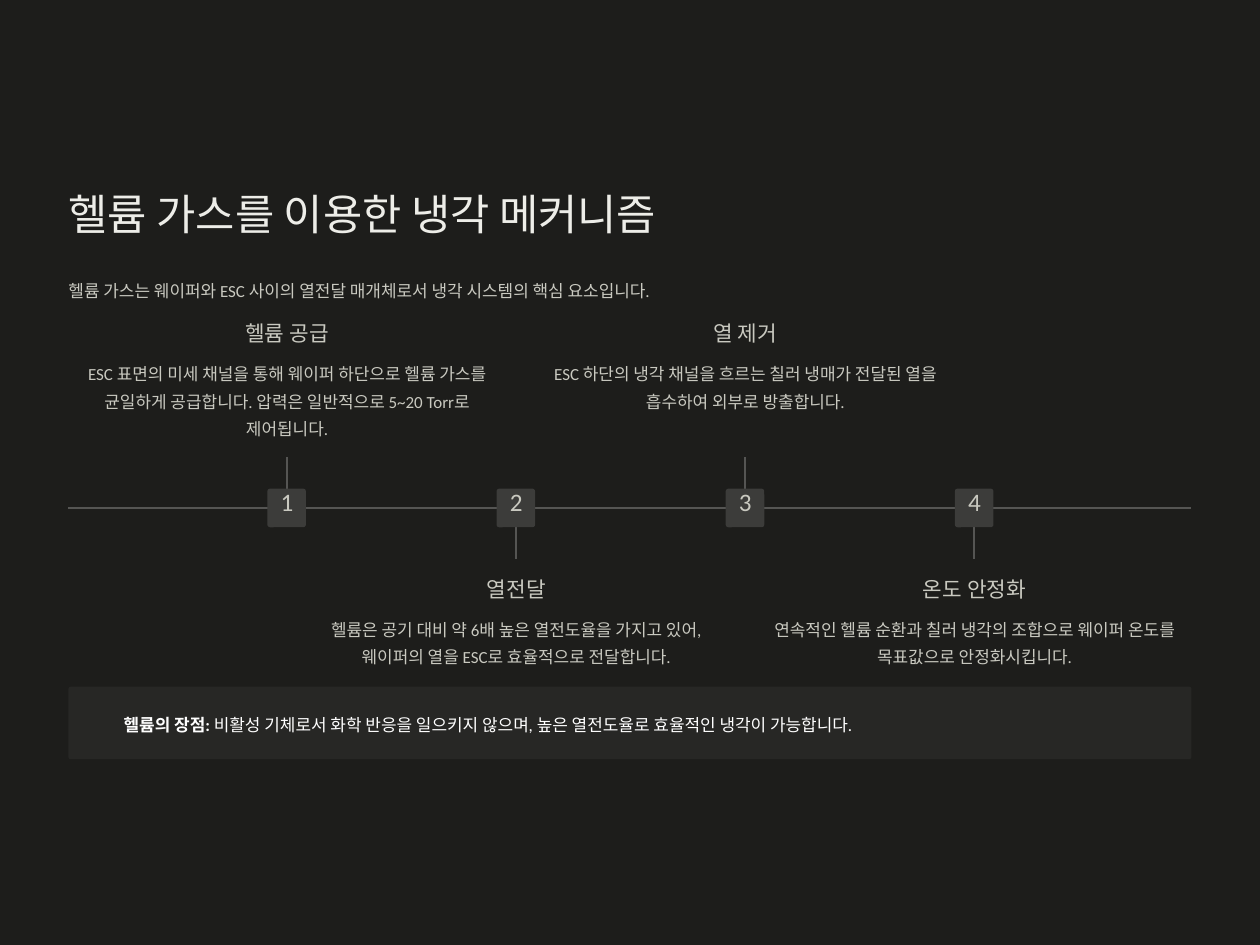
"""Build the slide on the helium gas cooling mechanism as a four-step timeline."""
from pptx import Presentation
from pptx.dml.color import RGBColor
from pptx.enum import shapes, text
from pptx.oxml.ns import qn
from pptx.util import Inches, Pt

COLORS = {
    "background": "1D1D1B", "title": "EDEDE8", "body": "C9C9C0", "line": "555553",
    "marker": "3C3C3A", "note": "272725", "white": "FFFFFF",
}
FORMATS = {
    "title": {"size": 39, "spacing": 48.5, "color": "title", "align": text.PP_ALIGN.LEFT, "wrap": False},
    "intro": {"size": 15.5, "spacing": 25, "color": "body", "align": text.PP_ALIGN.LEFT, "wrap": False},
    "number": {"size": 23, "spacing": 23, "color": "body", "align": text.PP_ALIGN.CENTER, "wrap": False},
    "heading": {"size": 19.5, "spacing": 24, "color": "body", "align": text.PP_ALIGN.CENTER, "wrap": False},
    "detail": {"size": 15.5, "spacing": 25, "color": "body", "align": text.PP_ALIGN.CENTER, "wrap": True},
    "note": {"size": 15.5, "spacing": 25, "color": "white", "align": text.PP_ALIGN.LEFT, "wrap": False},
}
STEPS = [
    ("헬륨 공급", "ESC 표면의 미세 채널을 통해 웨이퍼 하단으로 헬륨 가스를 균일하게 공급합니다. "
     "압력은 일반적으로 5~20 Torr로 제어됩니다.", 1.04),
    ("열전달", "헬륨은 공기 대비 약 6배 높은 열전도율을 가지고 있어, "
     "웨이퍼의 열을 ESC로 효율적으로 전달합니다.", 0.69),
    ("열 제거", "ESC 하단의 냉각 채널을 흐르는 칠러 냉매가 전달된 열을 흡수하여 외부로 방출합니다.", 0.69),
    ("온도 안정화", "연속적인 헬륨 순환과 칠러 냉각의 조합으로 웨이퍼 온도를 목표값으로 안정화시킵니다.", 0.69),
]
LEFT, WIDTH, AXIS = 0.87, 14.26, 6.45
FIRST_CENTER, PITCH = 3.64, 2.91
MARKER, STEM = 0.49, 0.65

presentation = Presentation()
presentation.slide_width, presentation.slide_height = Inches(16), Inches(12)
slide = presentation.slides.add_slide(presentation.slide_layouts[5])
slide.background.fill.solid()
slide.background.fill.fore_color.rgb = RGBColor.from_string(COLORS["background"])


def write(style, left, top, width, height, *runs, shape=None):
    """Place text in a new box or a given shape; each run is (wording, bold)."""
    style = FORMATS[style]
    box = [Inches(value) for value in (left, top, width, height)]
    shape = shape or slide.shapes.add_textbox(*box)
    shape.left, shape.top, shape.width, shape.height = box
    frame = shape.text_frame
    settings = {"margin_left": 0, "margin_top": 0, "margin_right": 0, "margin_bottom": 0,
                "word_wrap": style["wrap"], "auto_size": text.MSO_AUTO_SIZE.NONE,
                "vertical_anchor": text.MSO_ANCHOR.TOP}
    for name, value in settings.items():
        setattr(frame, name, value)
    paragraph = frame.paragraphs[0]
    paragraph.alignment = style["align"]
    paragraph.line_spacing = Pt(style["spacing"])
    for wording, bold in runs:
        run = paragraph.add_run()
        run.text = wording
        for name, value in {"name": "Calibri", "size": Pt(style["size"]), "bold": bold}.items():
            setattr(run.font, name, value)
        run.font.color.rgb = RGBColor.from_string(COLORS[style["color"]])


def block(color, left, top, width, height, rounding):
    """Draw a rounded rectangle without an outline."""
    shape = slide.shapes.add_shape(shapes.MSO_SHAPE.ROUNDED_RECTANGLE, Inches(left), Inches(top),
                                   Inches(width), Inches(height))
    shape.adjustments[0] = rounding
    shape.shadow.inherit = False
    shape.fill.solid()
    shape.fill.fore_color.rgb = RGBColor.from_string(COLORS[color])
    shape.line.fill.background()


write("title", LEFT, 2.36, 7.51, 0.68, ("헬륨 가스를 이용한 냉각 메커니즘", False), shape=slide.shapes.title)
write("intro", LEFT, 3.47, WIDTH, 0.35,
      ("헬륨 가스는 웨이퍼와 ESC 사이의 열전달 매개체로서 냉각 시스템의 핵심 요소입니다.", False))

centers = [FIRST_CENTER + PITCH * index for index in range(len(STEPS))]
lines = [(LEFT, AXIS, LEFT + WIDTH, AXIS)]
for index, center in enumerate(centers):
    lines.append((center, AXIS, center, AXIS + STEM * (1 if index % 2 else -1)))
for ends in lines:
    line = slide.shapes.add_connector(shapes.MSO_CONNECTOR.STRAIGHT, *[Inches(value) for value in ends])
    line.line.width = Pt(2)
    line.line.color.rgb = RGBColor.from_string(COLORS["line"])
    properties = line._element.spPr
    properties.append(properties.makeelement(qn("a:effectLst"), {}))

for index, (center, (heading, detail, height)) in enumerate(zip(centers, STEPS)):
    top = 7.31 if index % 2 else 4.06
    block("marker", center - MARKER / 2, AXIS - MARKER / 2, MARKER, MARKER, 0.07)
    write("number", center - 0.16, 6.24, 0.33, 0.41, (str(index + 1), False))
    write("heading", center - 1.35, top, 2.71, 0.34, (heading, False))
    write("detail", center - 2.55, top + 0.47, 5.11, height, (detail, False))

block("note", LEFT, 8.72, WIDTH, 0.92, 0.03)
write("note", 1.57, 8.99, 13.34, 0.35, ("헬륨의 장점:", True),
      (" 비활성 기체로서 화학 반응을 일으키지 않으며, 높은 열전도율로 효율적인 냉각이 가능합니다.", False))

presentation.save("out.pptx")
